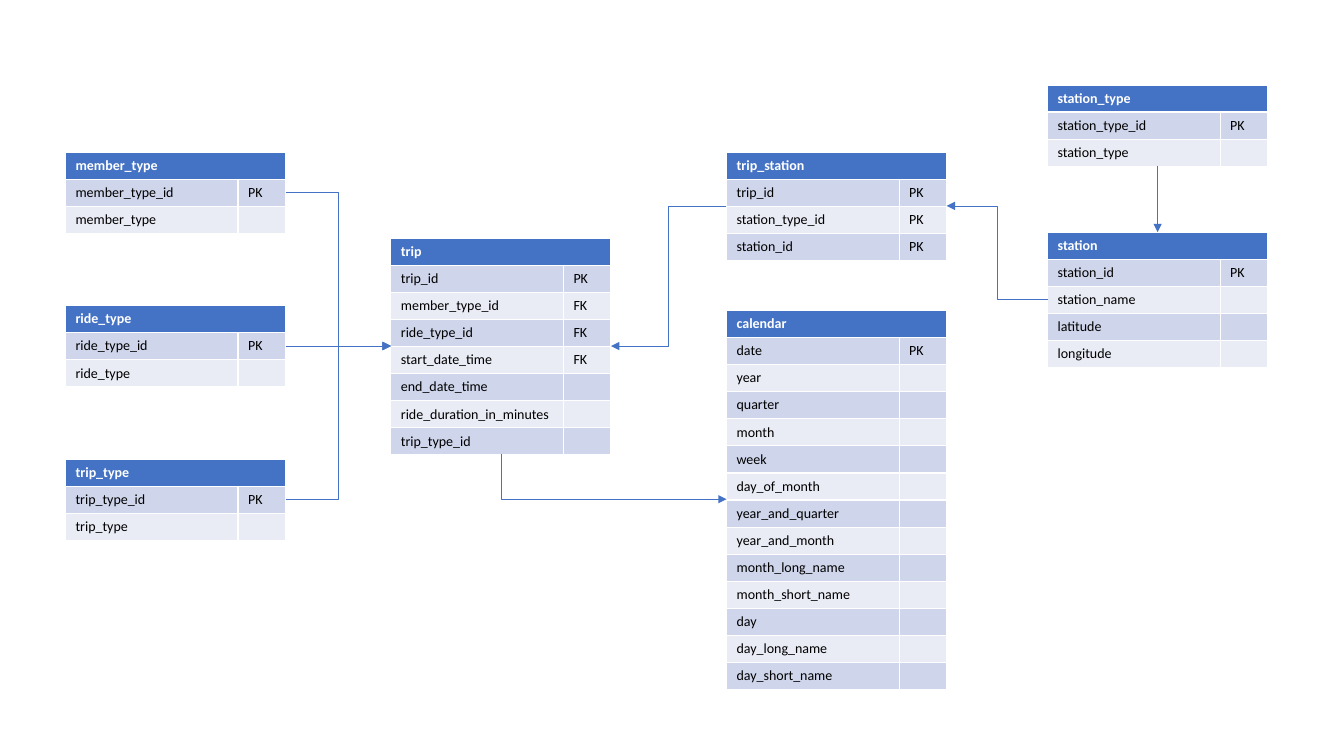
from pptx import Presentation
from pptx.dml.color import RGBColor
from pptx.enum.shapes import MSO_CONNECTOR
from pptx.oxml.ns import qn
from pptx.util import Cm, Pt
from lxml import etree

STRAIGHT, ELBOW = MSO_CONNECTOR.STRAIGHT, MSO_CONNECTOR.ELBOW
TOP, LEFT, BOTTOM, RIGHT = range(4)
FONT = "Calibri"
COLORS = {"header": "4472C4", "odd": "CFD5EA", "even": "E9EBF5",
          "header_text": "FFFFFF", "text": "000000", "line": "4472C4"}
NAME_WIDTH, KEY_WIDTH, ROW_HEIGHT = 4.35, 1.2, 0.68
LOOKUP_X, TRIP_X, MIDDLE_X, STATION_X = 1.65, 9.85, 18.31, 26.4
LOOKUP_Y, LOOKUP_STEP = 3.83, 3.87

ENTITIES = {
    "trip": (TRIP_X, 6.0, [
        "trip_id PK", "member_type_id FK", "ride_type_id FK", "start_date_time FK",
        "end_date_time", "ride_duration_in_minutes", "trip_type_id"]),
    "trip_station": (MIDDLE_X, LOOKUP_Y, ["trip_id PK", "station_type_id PK", "station_id PK"]),
    "station_type": (STATION_X, 2.14, ["station_type_id PK", "station_type"]),
    "station": (STATION_X, 5.85, ["station_id PK", "station_name", "latitude", "longitude"]),
    "calendar": (MIDDLE_X, 7.82, [
        "date PK", "year", "quarter", "month", "week", "day_of_month", "year_and_quarter",
        "year_and_month", "month_long_name", "month_short_name", "day", "day_long_name",
        "day_short_name"]),
}
for index, name in enumerate(["member_type", "ride_type", "trip_type"]):
    ENTITIES[name] = (LOOKUP_X, LOOKUP_Y + index * LOOKUP_STEP, [f"{name}_id PK", name])

RELATIONS = [
    ("member_type", RIGHT, "trip", LEFT, ELBOW),
    ("trip_type", RIGHT, "trip", LEFT, ELBOW),
    ("ride_type", RIGHT, "trip", LEFT, STRAIGHT),
    ("trip_station", LEFT, "trip", RIGHT, ELBOW),
    ("trip", BOTTOM, "calendar", LEFT, ELBOW),
    ("station", LEFT, "trip_station", RIGHT, ELBOW),
    ("station_type", BOTTOM, "station", TOP, STRAIGHT),
]


def color(name):
    return RGBColor.from_string(COLORS[name])


def fill_cell(cell, text, fill, text_color, bold=False):
    cell.fill.solid()
    cell.fill.fore_color.rgb = color(fill)
    paragraph = cell.text_frame.paragraphs[0]
    paragraph.text = text
    for run in paragraph.runs:
        run.font.name, run.font.size, run.font.bold = FONT, Pt(10), bold
        run.font.color.rgb = color(text_color)
    if not text:
        etree.SubElement(paragraph._p, qn("a:endParaRPr"), sz="1000")


def add_entity(slide, name, left, top, fields):
    row_count = len(fields) + 1
    frame = slide.shapes.add_table(row_count, 2, Cm(left), Cm(top),
                                   Cm(NAME_WIDTH + KEY_WIDTH), Cm(ROW_HEIGHT * row_count))
    table = frame.table
    table.columns[0].width, table.columns[1].width = Cm(NAME_WIDTH), Cm(KEY_WIDTH)
    for row in table.rows:
        row.height = Cm(ROW_HEIGHT)
    table.cell(0, 0).merge(table.cell(0, 1))
    fill_cell(table.cell(0, 0), name, "header", "header_text", True)
    for row_index, field in enumerate(fields, 1):
        field_name, _, key = field.partition(" ")
        fill = "odd" if row_index % 2 else "even"
        fill_cell(table.cell(row_index, 0), field_name, fill, "text")
        fill_cell(table.cell(row_index, 1), key, fill, "text")
    return frame


def turn_down_then_right(connector):
    width, height = connector.width, connector.height
    connector.left += (width - height) // 2
    connector.top -= (width - height) // 2
    connector.width, connector.height = height, width
    properties = connector._element.spPr
    properties.find(qn("a:xfrm")).set("rot", "16200000")
    properties.find(qn("a:xfrm")).set("flipH", "1")
    properties.find(qn("a:prstGeom")).set("prst", "bentConnector2")


def add_relation(slide, source, source_side, target, target_side, kind):
    connector = slide.shapes.add_connector(kind, 0, 0, 0, 0)
    connector.begin_connect(source, source_side)
    connector.end_connect(target, target_side)
    if source_side == BOTTOM and target_side == LEFT:
        turn_down_then_right(connector)
    connector.line.color.rgb = color("line")
    connector.line.width = Pt(0.5)
    etree.SubElement(connector.line._get_or_add_ln(), qn("a:tailEnd"), type="triangle")
    etree.SubElement(connector._element.spPr, qn("a:effectLst"))


def build_schema(slide):
    frames = {name: add_entity(slide, name, *details) for name, details in ENTITIES.items()}
    for source, source_side, target, target_side, kind in RELATIONS:
        add_relation(slide, frames[source], source_side, frames[target], target_side, kind)


presentation = Presentation()
presentation.slide_width, presentation.slide_height = Cm(33.87), Cm(19.05)
build_schema(presentation.slides.add_slide(presentation.slide_layouts[6]))
presentation.save("out.pptx")
